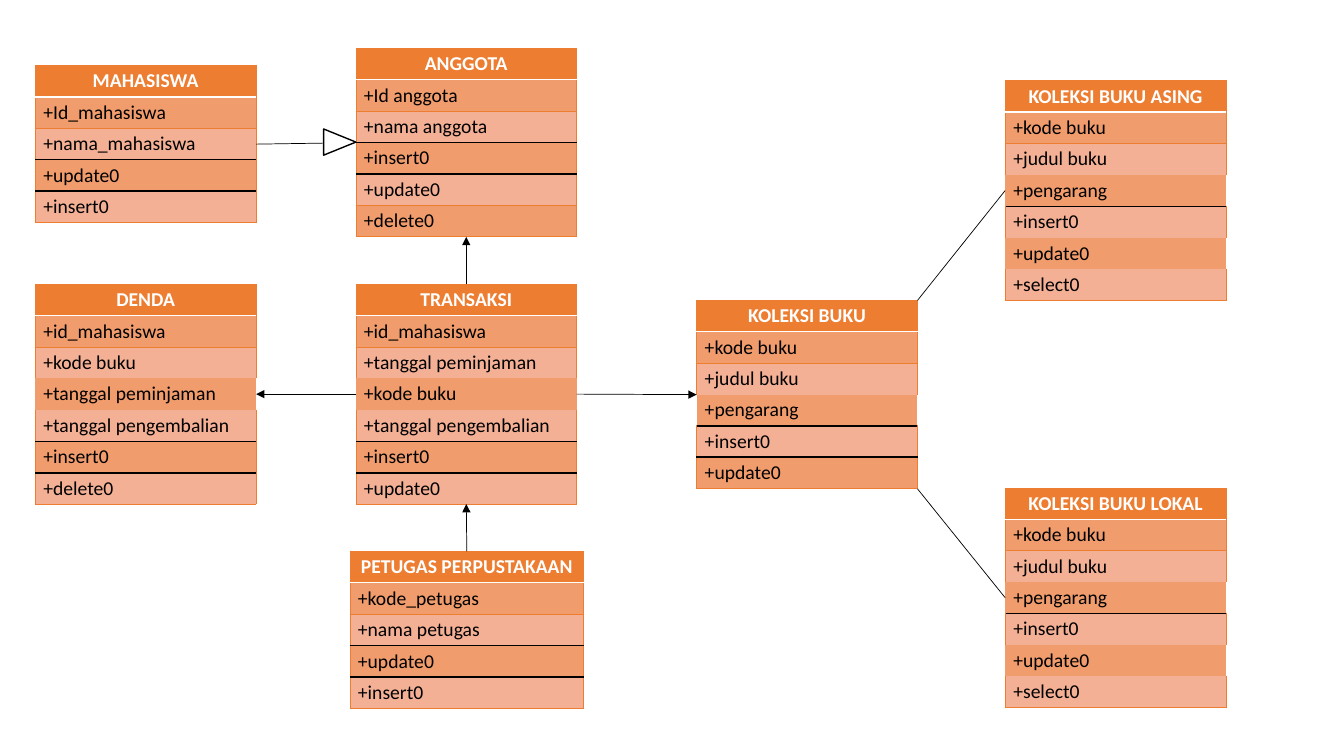
from lxml.etree import SubElement
from pptx import Presentation
from pptx.dml.color import RGBColor
from pptx.enum.shapes import MSO_CONNECTOR as Connector, MSO_SHAPE as Shape
from pptx.enum.text import MSO_ANCHOR as Anchor, PP_ALIGN as Align
from pptx.oxml.ns import qn
from pptx.util import Inches, Pt

COLORS = {"header": "ED7D31", "odd": "F19C6D", "even": "F4B095",
          "line": "000000", "white": "FFFFFF"}
OUTLINE, HEADER_RULE = ("header", 0.5), ("white", 1)
FIELD_RULE, METHOD_RULE = ("line", 1), ("line", 1.5)
CELL_FORMAT = {"margin_left": Inches(0.08), "margin_right": Inches(0.08),
               "margin_top": Inches(0.03), "margin_bottom": Inches(0.03),
               "vertical_anchor": Anchor.MIDDLE}
BOOK_FIELDS = ["kode buku", "judul buku", "pengarang"]
LOAN_FIELDS = ["tanggal peminjaman", "tanggal pengembalian"]
BOOK_METHODS = ["insert0", "update0", "select0"]

CLASSES = {
    "MAHASISWA": ((0.35, 0.65, 2.19, 1.56), ["Id_mahasiswa", "nama_mahasiswa"],
                  ["update0", "insert0"], []),
    "ANGGOTA": ((3.53, 0.48, 2.19, 1.87), ["Id anggota", "nama anggota"],
                ["insert0", "update0", "delete0"], []),
    "KOLEKSI BUKU": ((6.91, 2.98, 2.19, 1.87), BOOK_FIELDS, ["insert0", "update0"], [3]),
    "PETUGAS PERPUSTAKAAN": ((3.47, 5.47, 2.32, 1.56), ["kode_petugas", "nama petugas"],
                             ["update0", "insert0"], []),
    "DENDA": ((0.35, 2.82, 2.19, 2.18), ["id_mahasiswa", "kode buku", *LOAN_FIELDS],
              ["insert0", "delete0"], [3]),
    "TRANSAKSI": ((3.53, 2.82, 2.19, 2.18),
                  ["id_mahasiswa", LOAN_FIELDS[0], "kode buku", LOAN_FIELDS[1]],
                  ["insert0", "update0"], [3]),
    "KOLEKSI BUKU ASING": ((9.97, 0.8, 2.19, 2.18), BOOK_FIELDS, BOOK_METHODS, [3, 5]),
    "KOLEKSI BUKU LOKAL": ((9.97, 4.84, 2.19, 2.18), BOOK_FIELDS, BOOK_METHODS, [3, 5]),
}

LEFT, RIGHT, TOP, BOTTOM = (0, 0.5), (1, 0.5), (0.5, 0), (0.5, 1)
RELATIONS = [
    ("ANGGOTA", LEFT, "MAHASISWA", RIGHT, False),
    ("PETUGAS PERPUSTAKAAN", TOP, "TRANSAKSI", BOTTOM, True),
    ("TRANSAKSI", LEFT, "DENDA", RIGHT, True),
    ("TRANSAKSI", TOP, "ANGGOTA", BOTTOM, True),
    ("TRANSAKSI", RIGHT, "KOLEKSI BUKU", LEFT, True),
    ("KOLEKSI BUKU", (1, 0), "KOLEKSI BUKU ASING", LEFT, False),
    ("KOLEKSI BUKU", (1, 1), "KOLEKSI BUKU LOKAL", LEFT, False),
]


def rgb(name):
    return RGBColor.from_string(COLORS[name])


def apply_format(target, values):
    for key, value in values.items():
        setattr(target, key, value)


def set_border(cell, side, rule):
    border = SubElement(cell._tc.get_or_add_tcPr(), qn(f"a:ln{side}"))
    if rule is None:
        SubElement(border, qn("a:noFill"))
        return
    color, width = rule
    border.set("w", str(Pt(width)))
    fill = SubElement(border, qn("a:solidFill"))
    SubElement(fill, qn("a:srgbClr")).set("val", COLORS[color])


def rule_below(row, field_count, row_count, bare_rows):
    if row == 0:
        return HEADER_RULE
    if row == field_count:
        return FIELD_RULE
    if row in bare_rows or row + 1 in bare_rows:
        return None
    if row == field_count + 1 and row + 1 < row_count:
        return METHOD_RULE if 5 not in bare_rows else OUTLINE
    return OUTLINE


def add_class(slide, title, box, fields, methods, bare_rows):
    labels = [title] + [f"+{member}" for member in fields + methods]
    count = len(labels)
    table = slide.shapes.add_table(count, 1, *map(Inches, box)).table
    rules = [OUTLINE] + [rule_below(row, len(fields), count, bare_rows)
                         for row in range(count)]
    for row, label in enumerate(labels):
        table.rows[row].height = Inches(box[3] / count)
        cell = table.cell(row, 0)
        is_title = row == 0
        apply_format(cell, CELL_FORMAT)
        side_rule = None if row in bare_rows else OUTLINE
        for side, rule in zip("LRTB", (side_rule, side_rule, rules[row], rules[row + 1])):
            set_border(cell, side, rule)
        cell.fill.solid()
        cell.fill.fore_color.rgb = rgb("header" if is_title else "odd" if row % 2 else "even")
        paragraph = cell.text_frame.paragraphs[0]
        paragraph.alignment = Align.CENTER if is_title else Align.JUSTIFY
        run = paragraph.add_run()
        run.text = label
        apply_format(run.font, {"name": "Calibri", "size": Pt(14), "bold": is_title})
        run.font.color.rgb = rgb("white" if is_title else "line")


def point_on(title, position):
    left, top, width, height = CLASSES[title][0]
    return Inches(left + width * position[0]), Inches(top + height * position[1])


def add_relation(slide, source, source_side, target, target_side, has_arrow):
    relation = slide.shapes.add_connector(
        Connector.STRAIGHT, *point_on(source, source_side), *point_on(target, target_side))
    relation.line.color.rgb = rgb("line")
    relation.line.width = Pt(0.5)
    properties = relation._element.spPr
    if has_arrow:
        SubElement(properties.find(qn("a:ln")), qn("a:tailEnd")).set("type", "triangle")
    SubElement(properties, qn("a:effectLst"))


def add_inheritance_head(slide, box):
    head = slide.shapes.add_shape(Shape.ISOSCELES_TRIANGLE, *map(Inches, box))
    head.rotation = 90
    head.shadow.inherit = False
    head.fill.solid()
    head.fill.fore_color.rgb = rgb("white")
    head.line.color.rgb = rgb("line")
    head.line.width = Pt(1)


def build_class_diagram(slide):
    for title, details in CLASSES.items():
        add_class(slide, title, *details)
    for relation in RELATIONS:
        add_relation(slide, *relation)
    add_inheritance_head(slide, (3.24, 1.25, 0.26, 0.32))


deck = Presentation()
apply_format(deck, {"slide_width": Inches(13.33), "slide_height": Inches(7.5)})
build_class_diagram(deck.slides.add_slide(deck.slide_layouts[6]))
deck.save("out.pptx")
